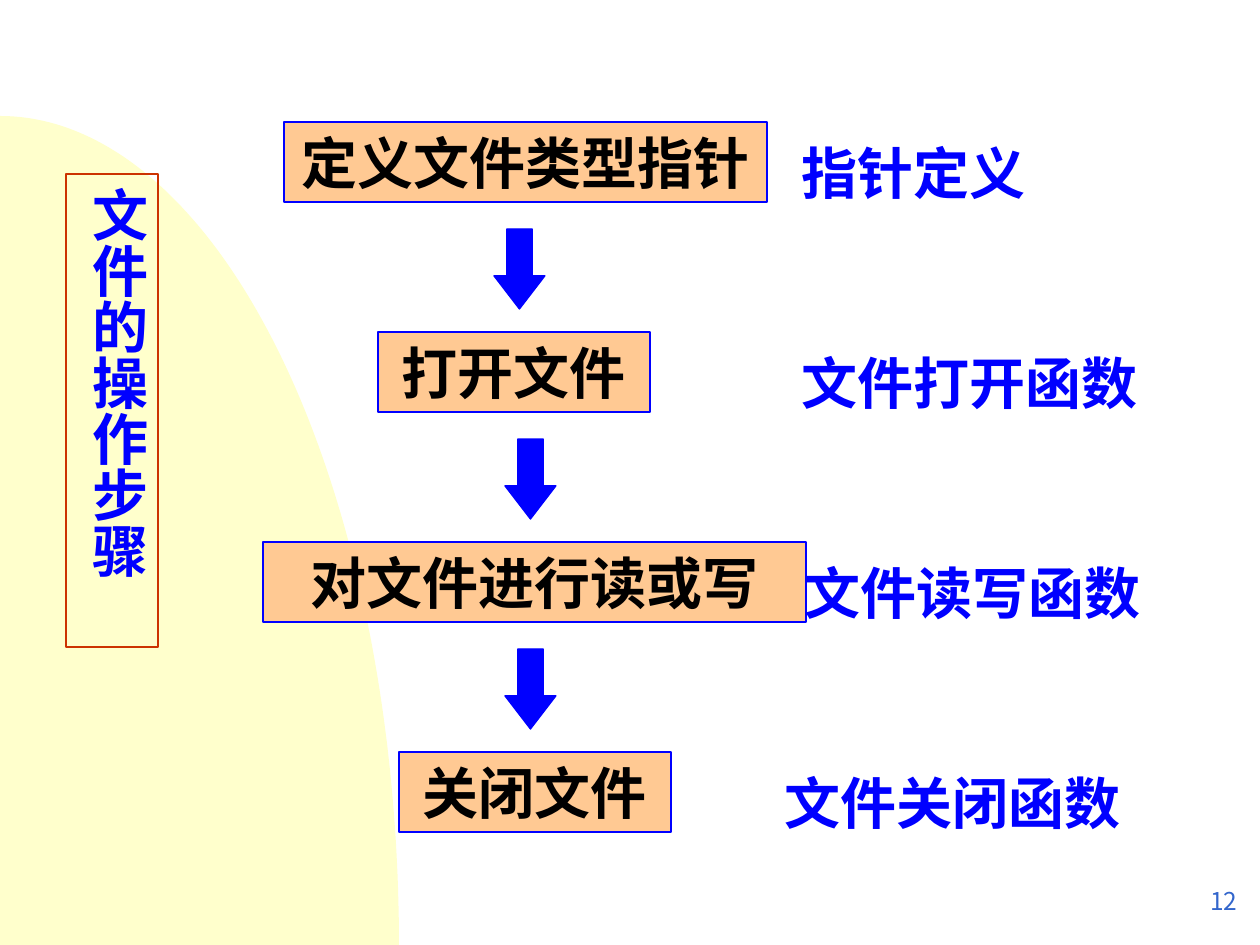
from math import cos, pi, sin
from lxml.etree import SubElement
from pptx import Presentation
from pptx.dml.color import RGBColor
from pptx.enum.shapes import MSO_SHAPE
from pptx.enum.text import MSO_ANCHOR, PP_ALIGN
from pptx.oxml.ns import qn
from pptx.util import Emu, Pt

SCALE = 914400 // 126
FONT = "Noto Sans CJK SC"
COLORS = {
    "cream": "FFFFCC",
    "peach": "FFC993",
    "blue": "0000FF",
    "black": "010000",
    "red": "CC3300",
    "number": "3366CC",
}
TOP = 122
PITCH = 210
STEPS = [
    ("定义文件类型指针", 284, 483, "指针定义", 789),
    ("打开文件", 378, 272, "文件打开函数", 789),
    ("对文件进行读或写", 263, 543, "文件读写函数", 792),
    ("关闭文件", 399, 272, "文件关闭函数", 772),
]
ARROWS = [494, 505, 505]


def px(n):
    return Emu(round(n * SCALE))


def color(name):
    return RGBColor.from_string(COLORS[name])


def paint(shape, fill, line):
    shape.shadow.inherit = False
    if fill:
        shape.fill.solid()
        shape.fill.fore_color.rgb = color(fill)
    else:
        shape.fill.background()
    if line:
        shape.line.color.rgb = color(line)
        shape.line.width = Pt(0.75)
    else:
        shape.line.fill.background()


def write(shape, text, ink, size=32, bold=True, align=PP_ALIGN.LEFT, anchor=MSO_ANCHOR.TOP):
    frame = shape.text_frame
    frame.text = text
    frame.word_wrap = True
    frame.vertical_anchor = anchor
    line = frame.paragraphs[0]
    line.alignment = align
    font = line.runs[0].font
    font.size = Pt(size)
    font.bold = bold
    font.color.rgb = color(ink)
    font.name = FONT
    SubElement(line.runs[0]._r.rPr, qn("a:ea"), typeface=FONT)


def add_shape(slide, kind, area, fill, line):
    shape = slide.shapes.add_shape(kind, *map(px, area))
    paint(shape, fill, line)
    return shape


def add_label(slide, area, text, ink, **style):
    label = slide.shapes.add_textbox(*map(px, area))
    write(label, text, ink, **style)


def add_box(slide, area, text):
    box = add_shape(slide, MSO_SHAPE.RECTANGLE, area, "peach", "blue")
    write(box, text, "black", align=PP_ALIGN.CENTER)


def add_arrow(slide, left, top):
    arrow = add_shape(slide, MSO_SHAPE.DOWN_ARROW, (left, top, 51, 80), "blue", "blue")
    arrow.adjustments[0] = 0.5
    arrow.adjustments[1] = 0.65


def add_curve(slide):
    wide, high, base, count = 399, 829, 945, 90
    turns = [pi / 2 * i / count for i in range(count + 1)]
    points = [(px(wide * sin(t)), px(base - high * cos(t))) for t in turns]
    build = slide.shapes.build_freeform(0, px(base))
    build.add_line_segments(points, close=True)
    paint(build.convert_to_shape(), "cream", None)


def add_banner(slide):
    banner = add_shape(slide, MSO_SHAPE.RECTANGLE, (66, 174, 92, 473), None, "red")
    write(banner, "文件的操作步骤", "blue", align=PP_ALIGN.CENTER)
    frame = banner.text_frame
    frame.margin_left = frame.margin_right = px(6)
    frame.margin_top = frame.margin_bottom = px(13)
    frame._txBody.bodyPr.set("vert", "eaVert")


def main():
    deck = Presentation()
    deck.slide_width, deck.slide_height = px(1260), px(945)
    slide = deck.slides.add_slide(deck.slide_layouts[6])
    add_curve(slide)
    add_banner(slide)
    for row, (step, left, width, note, edge) in enumerate(STEPS):
        top = TOP + row * PITCH
        add_box(slide, (left, top, width, 80), step)
        add_label(slide, (edge, top + 10, 378, 80), note, "blue")
    for row, left in enumerate(ARROWS):
        add_arrow(slide, left, TOP + 107 + row * PITCH)
    add_label(slide, (988, 869, 262, 63), "12", "number", size=14, bold=False,
              align=PP_ALIGN.RIGHT, anchor=MSO_ANCHOR.MIDDLE)
    deck.save("out.pptx")


if __name__ == "__main__":
    main()
